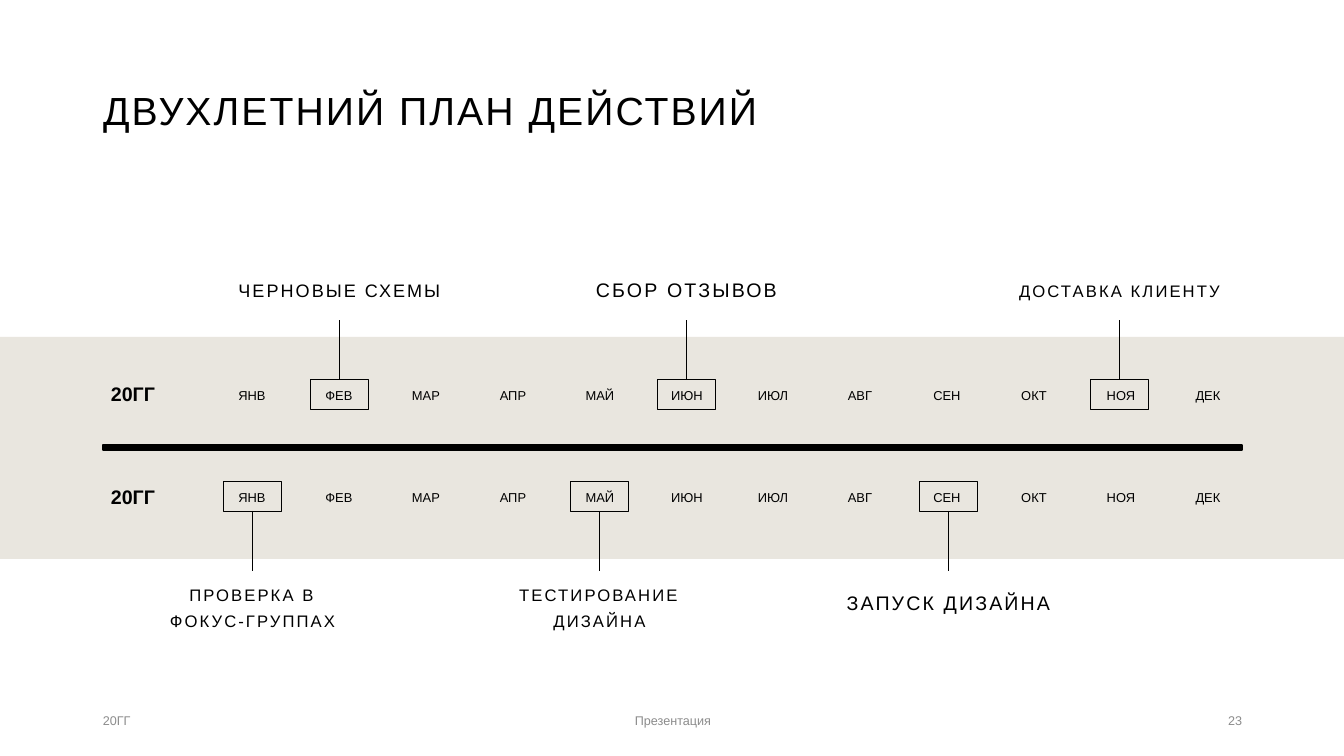
from pptx import Presentation
from pptx.dml.color import RGBColor
from pptx.enum.shapes import MSO_CONNECTOR, MSO_SHAPE
from pptx.enum.text import MSO_ANCHOR, PP_ALIGN
from pptx.oxml.ns import qn
from pptx.util import Emu, Pt
from lxml.etree import SubElement

EMU_PER_PX = 914400 / 100.8
WIDTH, HEIGHT = 1344, 756
COLORS = {"ink": "000000", "band": "E9E6DF", "muted": "8C8C8C"}
TITLE_ONLY = 5
TOP, BOTTOM = 0, 2  # connection sites of a rectangle

MONTHS = "ЯНВ ФЕВ МАР АПР МАЙ ИЮН ИЮЛ АВГ СЕН ОКТ НОЯ ДЕК".split()
FIRST_MONTH, LAST_MONTH = 252, 1208
FRAME_WIDTH, FRAME_HEIGHT = 58, 30
LABEL_WIDTH, LABEL_HEIGHT = 227, 61

# Each milestone: centre, label, size, line spacing
YEARS = [
    {"year_top": 370, "months_top": 386, "frame_top": 379, "line_end": 320,
     "label_top": 245, "anchor": MSO_ANCHOR.BOTTOM, "side": TOP,
     "milestones": [(339, "ЧЕРНОВЫЕ СХЕМЫ", 12.9, 1.5),
                    (686, "СБОР ОТЗЫВОВ", 14, 1.5),
                    (1119, "ДОСТАВКА КЛИЕНТУ", 11.9, 1.4)]},
    {"year_top": 473, "months_top": 488, "frame_top": 481, "line_end": 571,
     "label_top": 574, "anchor": MSO_ANCHOR.TOP, "side": BOTTOM,
     "milestones": [(252, "ПРОВЕРКА В ФОКУС-ГРУППАХ", 11.9, 1.3),
                    (599, "ТЕСТИРОВАНИЕ ДИЗАЙНА", 11.9, 1.3),
                    (948, "ЗАПУСК ДИЗАЙНА", 14, 1.5)]},
]
FOOTERS = [(93, 302, "20ГГ", PP_ALIGN.LEFT),
           (446, 454, "Презентация", PP_ALIGN.CENTER),
           (950, 302, "23", PP_ALIGN.RIGHT)]


def px(length):
    return Emu(round(length * EMU_PER_PX))


def rgb(name):
    return RGBColor.from_string(COLORS[name])


class SlideBuilder:
    """Holds the font and the slide that elements are added to."""

    def __init__(self, slide, font="Arial"):
        self.slide = slide
        self.font = font

    def set_text(self, box, text, size=14, color="ink", bold=False, tracking=0,
                 align=PP_ALIGN.LEFT, anchor=MSO_ANCHOR.MIDDLE, spacing=1.0):
        """Fill a shape's frame with one formatted paragraph; tracking is in points."""
        frame = box.text_frame
        frame.word_wrap = True
        frame.vertical_anchor = anchor
        para = frame.paragraphs[0]
        para.alignment = align
        para.line_spacing = spacing
        span = para.add_run()
        span.text = text
        span.font.name = self.font
        span.font.size = Pt(size)
        span.font.bold = bold
        span.font.color.rgb = rgb(color)
        if tracking:
            span._r.get_or_add_rPr().set("spc", str(round(tracking * 100)))

    def title(self, left, top, width, height, text, **style):
        box = self.slide.shapes.title
        box.left, box.top, box.width, box.height = map(px, (left, top, width, height))
        self.set_text(box, text, **style)

    def text(self, left, top, width, height, text, **style):
        box = self.slide.shapes.add_textbox(*map(px, (left, top, width, height)))
        self.set_text(box, text, **style)

    def rectangle(self, left, top, width, height, fill=None, line=None, weight=0.5):
        box = self.slide.shapes.add_shape(
            MSO_SHAPE.RECTANGLE, *map(px, (left, top, width, height)))
        box.shadow.inherit = False
        if fill:
            box.fill.solid()
            box.fill.fore_color.rgb = rgb(fill)
        else:
            box.fill.background()
        if line:
            box.line.color.rgb = rgb(line)
            box.line.width = Pt(weight)
        else:
            box.line.fill.background()
        return box

    def leader(self, frame, side, x, start, end):
        """Draw a vertical line from the given side of a frame."""
        connector = self.slide.shapes.add_connector(
            MSO_CONNECTOR.STRAIGHT, px(x), px(start), px(x), px(end))
        connector.begin_connect(frame, side)
        connector.line.color.rgb = rgb("ink")
        connector.line.width = Pt(0.5)
        SubElement(connector._element.spPr, qn("a:effectLst"))

    def year(self, plan):
        """Draw one row of months with its milestones."""
        self.text(101, plan["year_top"], 81, 50, "20ГГ", bold=True, spacing=0.9)
        pitch = (LAST_MONTH - FIRST_MONTH) / (len(MONTHS) - 1)
        for index, month in enumerate(MONTHS):
            center = round(FIRST_MONTH + index * pitch)
            self.text(center - 35, plan["months_top"], 70, 22, month, size=9.2,
                      align=PP_ALIGN.CENTER, anchor=MSO_ANCHOR.TOP, spacing=0.8)
        edge = plan["frame_top"] + (FRAME_HEIGHT if plan["side"] == BOTTOM else 0)
        for center, label, size, spacing in plan["milestones"]:
            frame = self.rectangle(center - FRAME_WIDTH // 2, plan["frame_top"],
                                   FRAME_WIDTH, FRAME_HEIGHT, line="ink")
            self.leader(frame, plan["side"], center, edge, plan["line_end"])
            self.text(center - LABEL_WIDTH // 2, plan["label_top"],
                      LABEL_WIDTH, LABEL_HEIGHT, label, size=size, tracking=1.5,
                      align=PP_ALIGN.CENTER, anchor=plan["anchor"], spacing=spacing)


def main():
    deck = Presentation()
    deck.slide_width, deck.slide_height = px(WIDTH), px(HEIGHT)
    page = SlideBuilder(deck.slides.add_slide(deck.slide_layouts[TITLE_ONLY]))

    page.rectangle(0, 337, WIDTH, 222, fill="band")
    page.rectangle(103, 445, 1139, 5, fill="ink", line="ink", weight=1)
    page.title(93, 40, 1159, 146, "ДВУХЛЕТНИЙ ПЛАН ДЕЙСТВИЙ",
               size=28, tracking=1.5, spacing=0.9)
    for plan in YEARS:
        page.year(plan)
    for left, width, text, align in FOOTERS:
        page.text(left, 701, width, 40, text, size=9, color="muted", align=align)

    deck.save("out.pptx")


if __name__ == "__main__":
    main()
